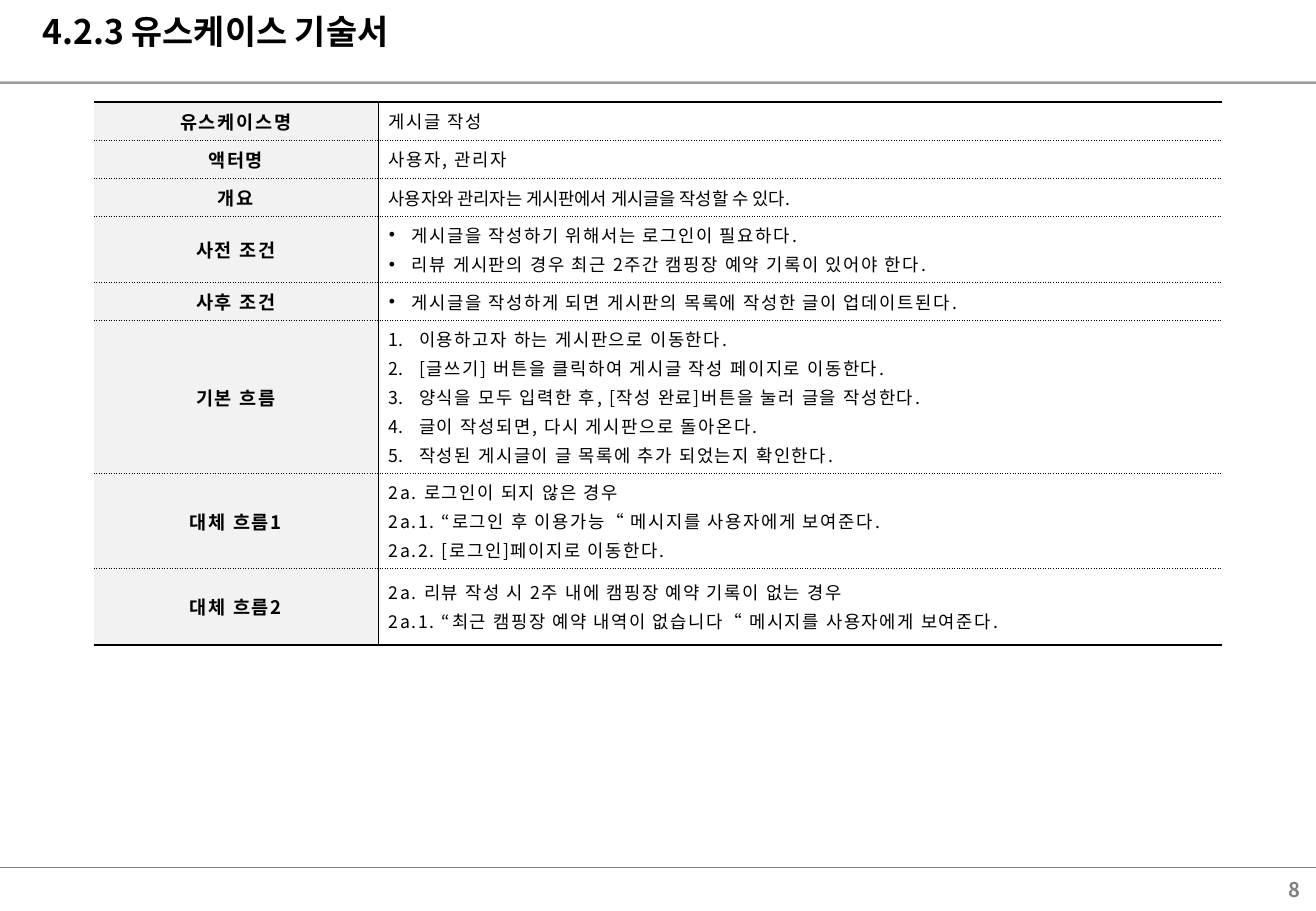
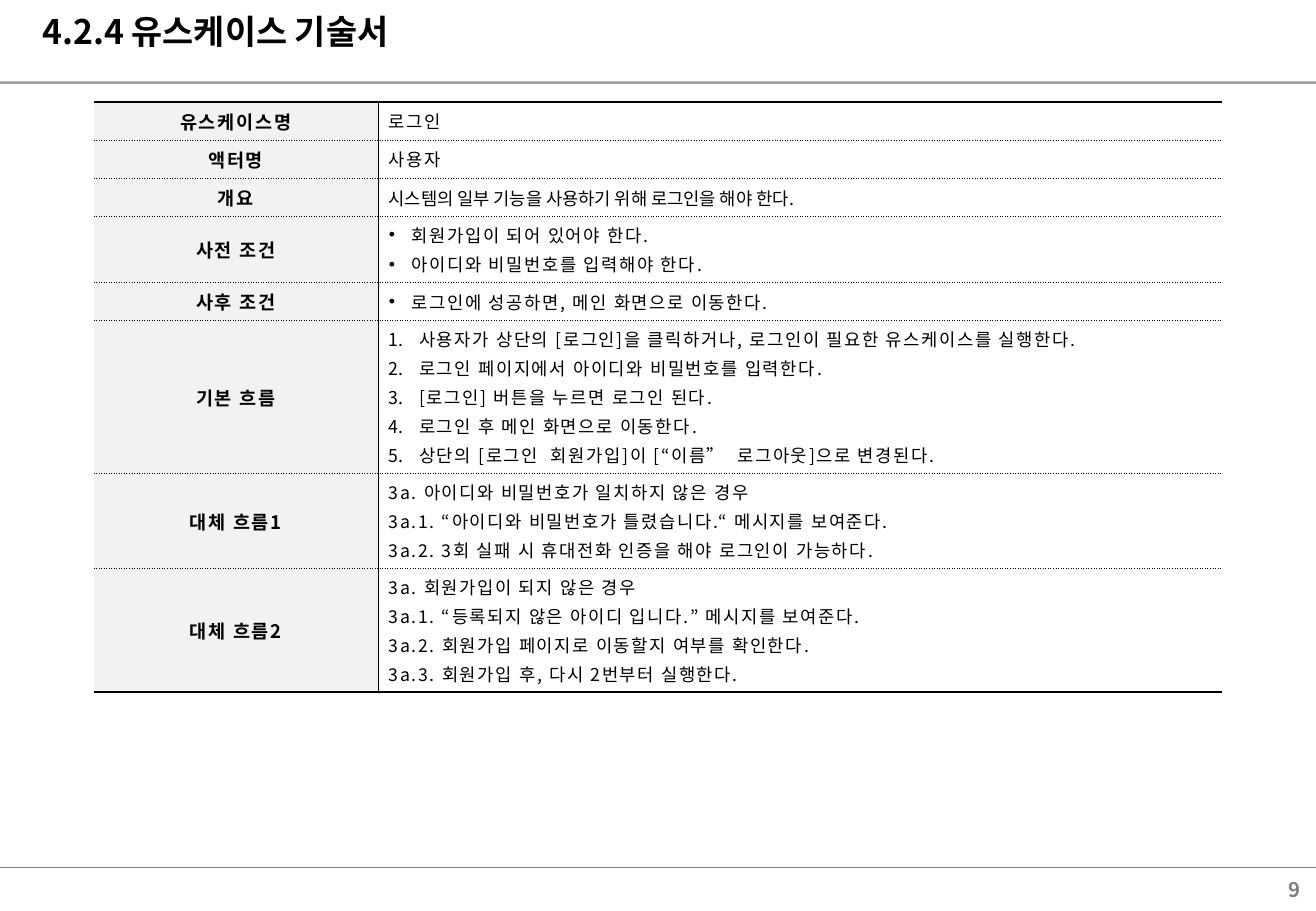
from dataclasses import dataclass

from lxml import etree
from pptx import Presentation
from pptx.dml.color import RGBColor
from pptx.enum import shapes, text
from pptx.oxml import ns
from pptx.util import Inches, Pt


@dataclass(frozen=True)
class Theme:
    font: str = "Noto Sans CJK KR"
    ink: str = "000000"
    gray: str = "808080"
    label_fill: str = "F2F2F2"
    body_fill: str = "FFFFFF"
    title_size: float = 20
    page_size: float = 12
    label_size: float = 11
    body_size: float = 10.5
    tracking: float = 1
    line_pitch: float = 17.2
    row_padding: float = 4.7
    row_minimum: float = 22.6
    paragraph_gap: float = 2.1


THEME = Theme()
WIDTH, HEIGHT = 10.83, 7.5
TABLE_BOX = (0.77, 0.84, 2.34, 6.95)  # left, top, label width, body width
LAST_ROW_MINIMUM = Inches(0.63)

# label, list style, letter spacing of the body
ROWS = [
    ("유스케이스명", None, THEME.tracking),
    ("액터명", None, THEME.tracking),
    ("개요", None, 0),
    ("사전 조건", "bullet", THEME.tracking),
    ("사후 조건", "bullet", THEME.tracking),
    ("기본 흐름", "number", THEME.tracking),
    ("대체 흐름1", None, THEME.tracking),
    ("대체 흐름2", None, THEME.tracking),
]

USE_CASES = [
    (8, "4.2.3 유스케이스 기술서", [
        ["게시글 작성"],
        ["사용자, 관리자"],
        ["사용자와 관리자는 게시판에서 게시글을 작성할 수 있다."],
        ["게시글을 작성하기 위해서는 로그인이 필요하다.",
         "리뷰 게시판의 경우 최근 2주간 캠핑장 예약 기록이 있어야 한다."],
        ["게시글을 작성하게 되면 게시판의 목록에 작성한 글이 업데이트된다."],
        ["이용하고자 하는 게시판으로 이동한다.",
         "[글쓰기] 버튼을 클릭하여 게시글 작성 페이지로 이동한다.",
         "양식을 모두 입력한 후, [작성 완료]버튼을 눌러 글을 작성한다.",
         "글이 작성되면, 다시 게시판으로 돌아온다.",
         "작성된 게시글이 글 목록에 추가 되었는지 확인한다."],
        ["2a. 로그인이 되지 않은 경우",
         "2a.1. “로그인 후 이용가능“ 메시지를 사용자에게 보여준다.",
         "2a.2. [로그인]페이지로 이동한다."],
        ["2a. 리뷰 작성 시 2주 내에 캠핑장 예약 기록이 없는 경우",
         "2a.1. “최근 캠핑장 예약 내역이 없습니다“ 메시지를 사용자에게 보여준다."],
    ]),
    (9, "4.2.4 유스케이스 기술서", [
        ["로그인"],
        ["사용자"],
        ["시스템의 일부 기능을 사용하기 위해 로그인을 해야 한다."],
        ["회원가입이 되어 있어야 한다.",
         "아이디와 비밀번호를 입력해야 한다."],
        ["로그인에 성공하면, 메인 화면으로 이동한다."],
        ["사용자가 상단의 [로그인]을 클릭하거나, 로그인이 필요한 유스케이스를 실행한다.",
         "로그인 페이지에서 아이디와 비밀번호를 입력한다.",
         "[로그인] 버튼을 누르면 로그인 된다.",
         "로그인 후 메인 화면으로 이동한다.",
         "상단의 [로그인  회원가입]이 [“이름”  로그아웃]으로 변경된다."],
        ["3a. 아이디와 비밀번호가 일치하지 않은 경우",
         "3a.1. “아이디와 비밀번호가 틀렸습니다.“ 메시지를 보여준다.",
         "3a.2. 3회 실패 시 휴대전화 인증을 해야 로그인이 가능하다."],
        ["3a. 회원가입이 되지 않은 경우",
         "3a.1. “등록되지 않은 아이디 입니다.” 메시지를 보여준다.",
         "3a.2. 회원가입 페이지로 이동할지 여부를 확인한다.",
         "3a.3. 회원가입 후, 다시 2번부터 실행한다."],
    ]),
]


def add_xml(parent, tag, **attributes):
    return etree.SubElement(parent, ns.qn(tag), attributes)


def mark_list(paragraph, style):
    """Give a paragraph a hanging bullet or number."""
    properties = paragraph._p.get_or_add_pPr()
    indent = Inches(0.19 if style == "bullet" else 0.25)
    properties.set("marL", str(indent))
    properties.set("indent", str(-indent))
    if style == "bullet":
        add_xml(properties, "a:buFont", typeface="Arial")
        add_xml(properties, "a:buChar", char="•")
    else:
        add_xml(properties, "a:buFont", typeface="+mj-lt")
        add_xml(properties, "a:buAutoNum", type="arabicPeriod")


def write(frame, lines, *, size, color=THEME.ink, bold=False, align="LEFT",
          spacing=0, list_style=None):
    frame.word_wrap = True
    for index, line in enumerate(lines):
        paragraph = frame.paragraphs[0] if index == 0 else frame.add_paragraph()
        paragraph.alignment = getattr(text.PP_ALIGN, align)
        if index:
            paragraph.space_before = Pt(THEME.paragraph_gap)
        if list_style:
            mark_list(paragraph, list_style)
        run = paragraph.add_run()
        run.text = line
        font = run.font
        font.name, font.size, font.bold = THEME.font, Pt(size), bold
        font.color.rgb = RGBColor.from_string(color)
        properties = run._r.get_or_add_rPr()
        properties.set("spc", str(int(spacing * 100)))
        add_xml(properties, "a:ea", typeface=THEME.font)


def add_label(slide, box, content, *, anchor, **style):
    frame = slide.shapes.add_textbox(*map(Inches, box)).text_frame
    frame.vertical_anchor = anchor
    frame.margin_top = frame.margin_bottom = 0
    write(frame, [content], bold=True, **style)


def add_rule(slide, y, weight, opacity=100):
    rule = slide.shapes.add_connector(
        shapes.MSO_CONNECTOR.STRAIGHT, 0, Inches(y), Inches(WIDTH), Inches(y))
    rule.line.width = Pt(weight)
    rule.line.color.rgb = RGBColor.from_string(THEME.gray)
    if opacity < 100:
        color = rule.line._ln.find(".//" + ns.qn("a:srgbClr"))
        add_xml(color, "a:alpha", val=str(opacity * 1000))
    add_xml(rule._element.spPr, "a:effectLst")


def add_frame(slide, title, page):
    """Title, page number and the two rules that every slide has."""
    add_rule(slide, 7.14, 0.75)
    add_rule(slide, 0.68, 1.5, opacity=76)
    add_label(slide, (0.25, 0.09, 10.43, 0.49), title,
              anchor=text.MSO_ANCHOR.TOP, size=THEME.title_size)
    add_label(slide, (8.36, 7.17, 2.44, 0.31), str(page),
              anchor=text.MSO_ANCHOR.MIDDLE, size=THEME.page_size,
              color=THEME.gray, align="RIGHT")


def set_borders(cell, **sides):
    """Each side, given in the order L, R, T, B, is (weight, dash) or None."""
    properties = cell._tc.get_or_add_tcPr()
    for side, border in sides.items():
        line = add_xml(properties, "a:ln" + side)
        if border is None:
            add_xml(line, "a:noFill")
            continue
        weight, dash = border
        line.set("w", str(Pt(weight)))
        add_xml(add_xml(line, "a:solidFill"), "a:srgbClr", val=THEME.ink)
        add_xml(line, "a:prstDash", val=dash)


def row_height(lines):
    return Pt(max(THEME.row_minimum,
                  THEME.row_padding + THEME.line_pitch * len(lines)))


def add_use_case_table(slide, box, bodies):
    left, top, label_width, body_width = map(Inches, box)
    heights = [row_height(lines) for lines in bodies]
    heights[-1] = max(heights[-1], LAST_ROW_MINIMUM)
    table = slide.shapes.add_table(len(ROWS), 2, left, top,
                                   label_width + body_width, sum(heights)).table
    table.first_row = table.horz_banding = False
    table.columns[0].width, table.columns[1].width = label_width, body_width

    edge, dotted, divider = (1.5, "solid"), (0.5, "sysDot"), (0.5, "solid")
    last = len(ROWS) - 1
    for index, ((label, list_style, spacing), lines) in enumerate(zip(ROWS, bodies)):
        table.rows[index].height = heights[index]
        label_cell, body_cell = table.cell(index, 0), table.cell(index, 1)
        for cell, fill, sides in (
                (label_cell, THEME.label_fill, {"L": None, "R": divider}),
                (body_cell, THEME.body_fill, {"L": divider, "R": None})):
            set_borders(cell, **sides, T=dotted if index else edge,
                        B=dotted if index < last else edge)
            cell.fill.solid()
            cell.fill.fore_color.rgb = RGBColor.from_string(fill)
            cell.vertical_anchor = text.MSO_ANCHOR.MIDDLE
            cell.margin_left = cell.margin_right = Inches(0.09)
            cell.margin_top = cell.margin_bottom = Inches(0.04)
        write(label_cell.text_frame, [label], size=THEME.label_size, bold=True,
              align="CENTER", spacing=THEME.tracking)
        write(body_cell.text_frame, lines, size=THEME.body_size,
              spacing=spacing, list_style=list_style)


def main():
    deck = Presentation()
    deck.slide_width, deck.slide_height = Inches(WIDTH), Inches(HEIGHT)
    for page, title, bodies in USE_CASES:
        slide = deck.slides.add_slide(deck.slide_layouts[6])
        add_frame(slide, title, page)
        add_use_case_table(slide, TABLE_BOX, bodies)
    deck.save("out.pptx")


if __name__ == "__main__":
    main()
